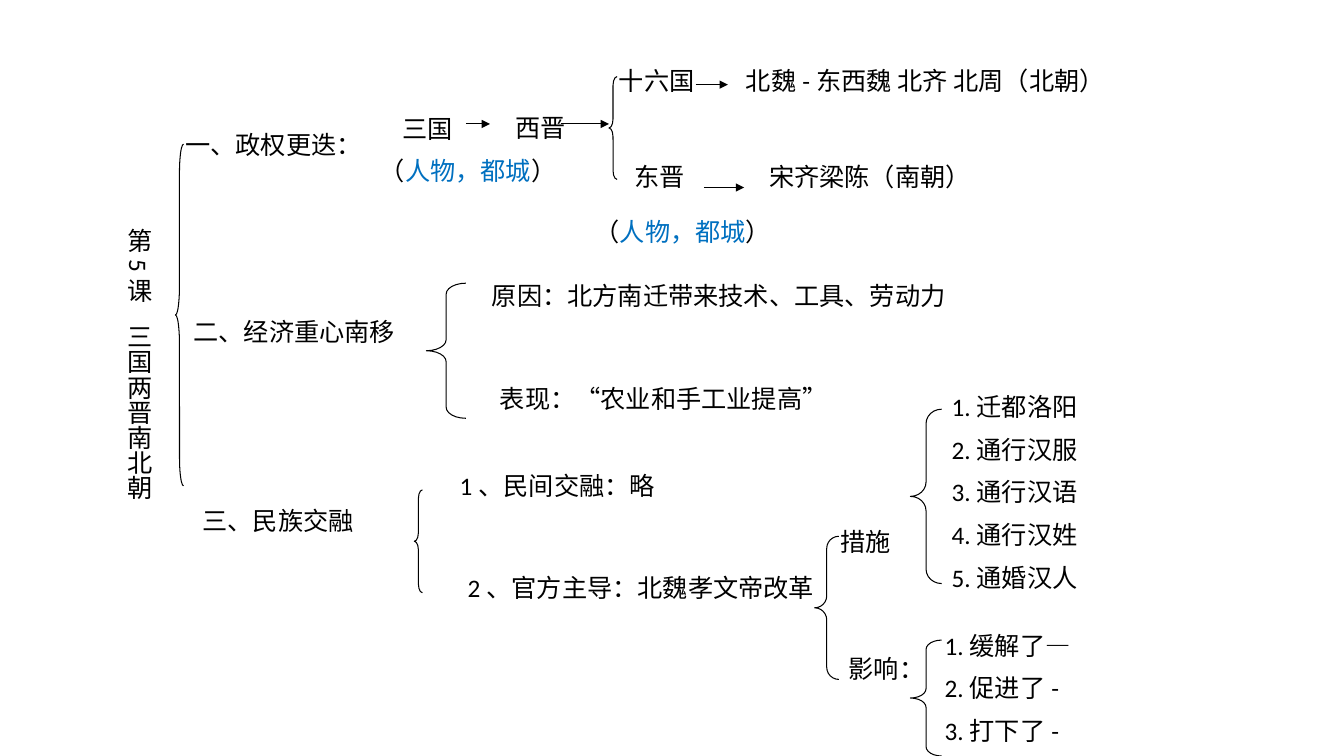
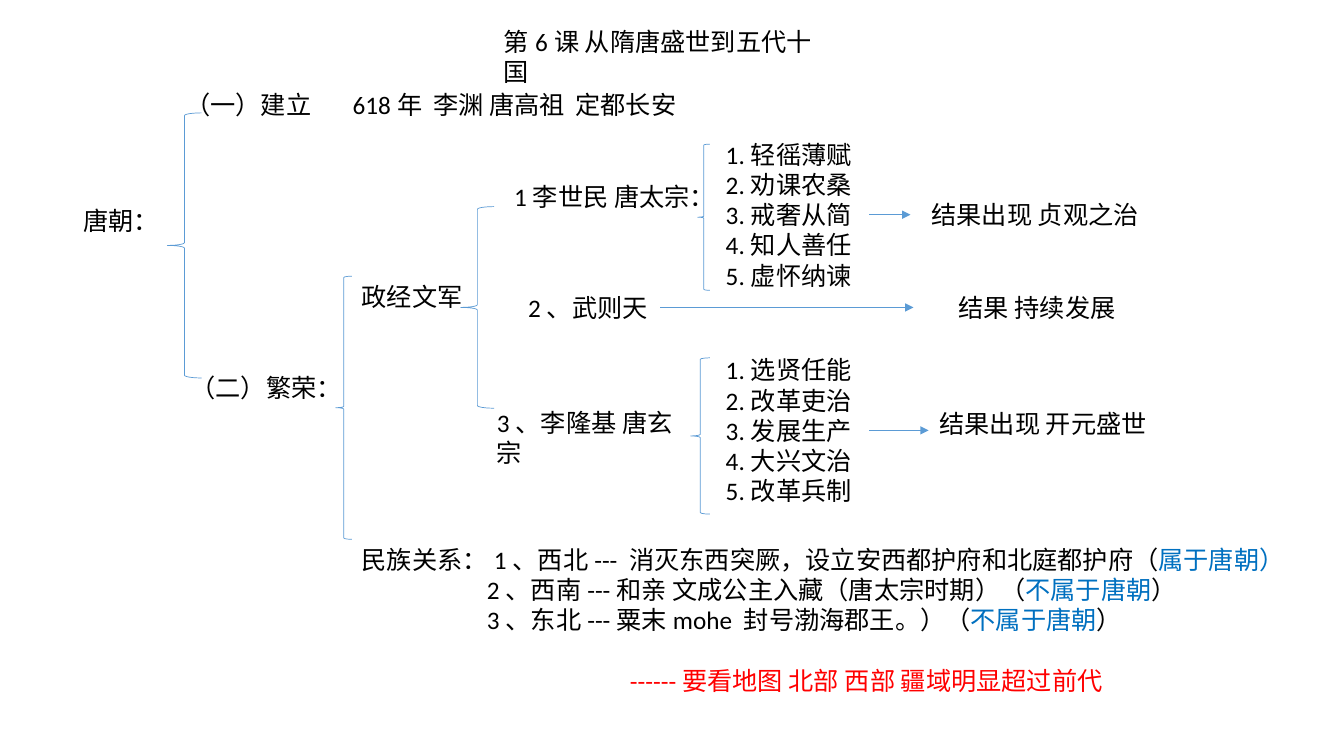
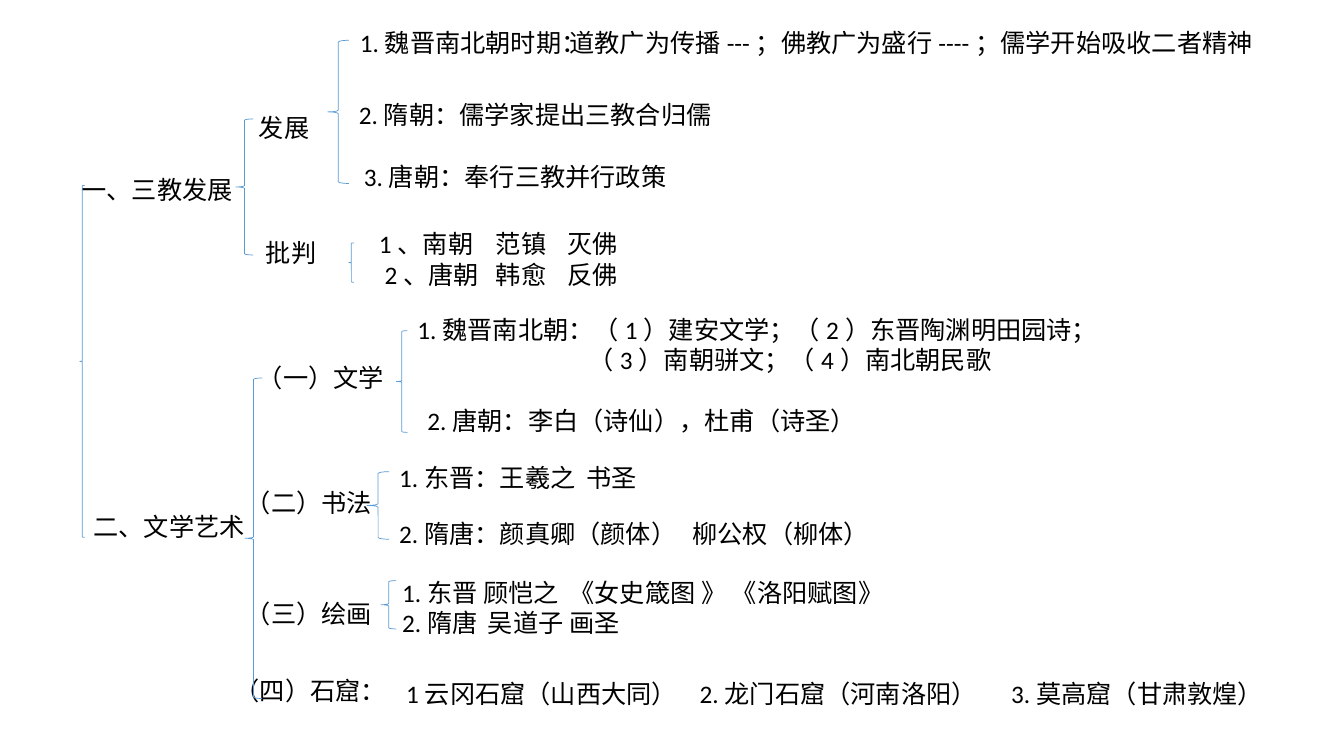
from lxml import etree
from pptx import Presentation
from pptx import util as u
from pptx.dml.color import RGBColor
from pptx.enum import shapes, text
from pptx.oxml import ns

# Shared style
FONT, SIZE = "Calibri", 18
INK, MARK, ALERT, SKY = "000000", "0070C0", "FF0000", "5B9BD5"
LINE = 0.4  # height of a box with one line
hue = RGBColor.from_string

deck = Presentation()
deck.slide_width, deck.slide_height = u.Inches(13.33), u.Inches(7.5)


def put(page, spot, words, stops=(), gap=0):
    """Write lines in a box; pieces between asterisks take the mark colour."""
    box = page.shapes.add_textbox(*[u.Inches(n) for n in spot])
    frame = box.text_frame
    frame.word_wrap = True
    frame.auto_size = text.MSO_AUTO_SIZE.SHAPE_TO_FIT_TEXT
    for i, row in enumerate(words.split("\n")):
        para = frame.paragraphs[0] if i == 0 else frame.add_paragraph()
        if gap:
            para.space_before = u.Pt(gap)
        if "\t" in row:
            tabs = etree.SubElement(para._p.get_or_add_pPr(), ns.qn("a:tabLst"))
            for stop in stops:
                etree.SubElement(tabs, ns.qn("a:tab"), pos=str(u.Inches(stop)), algn="l")
        for k, part in enumerate(row.split("*")):
            if part:
                run = para.add_run()
                run.text = part
                run.font.name, run.font.size = FONT, u.Pt(SIZE)
                run.font.color.rgb = hue(MARK if k % 2 else INK)
    return box


# Each page: line colour and width, paragraph gap, line step,
# texts (left, top, width, words, tab stops),
# braces (left, top, width, height, curl), arrows (left, right, height)
dynasties = dict(
    tint=INK, thick=0.75, gap=9, step=0.45,
    texts=[
        (1.74, 1.23, 2.09, "一、政权更迭："),
        (1.82, 3.09, 2.28, "二、经济重心南移"),
        (1.91, 4.96, 1.93, "三、民族交融"),
        (3.67, 1.07, 1.97, "\t三国\n（*人物，都城*）", 0.22),
        (5.01, 1.07, 1.81, "西晋"),
        (6.19, 1.55, 1.5, "东晋"),
        (6.04, 0.6, 1.5, "十六国"),
        (7.3, 0.6, 3.98, "北魏-东西魏 北齐 北周（北朝）"),
        (7.53, 1.55, 3.07, "宋齐梁陈（南朝）"),
        (4.78, 2.73, 5.67, "原因：北方南迁带来技术、工具、劳动力"),
        (4.86, 3.75, 5.51, "表现：“农业和手工业提高”"),
        (4.46, 4.62, 4.49, "1、民间交融：略"),
        (4.54, 5.63, 4.49, "2、官方主导：北魏孝文帝改革"),
        (8.24, 5.17, 0.95, "措施"),
        (8.32, 6.43, 1.1, "影响："),
        (9.34, 3.83, 1.5, "1.迁都洛阳\n2.通行汉服\n3.通行汉语\n4.通行汉姓\n5.通婚汉人"),
        (9.27, 6.2, 2.13, "1.缓解了—\n2.促进了-\n3.打下了-"),
        (5.8, 2.1, 2.05, "（*人物，都城*）"),
    ],
    braces=[
        (6.04, 0.76, 0.08, 1.02, 1.09), (1.74, 1.43, 0.08, 3.39, 3.53),
        (4.11, 4.86, 0.08, 1.02, 1.07), (4.23, 2.81, 0.39, 1.34, 0.28),
        (8.08, 5.32, 0.24, 1.42, 0.5), (9.03, 4.06, 0.31, 1.73, 0.46),
        (9.03, 6.35, 0.31, 1.15, 0.3),
    ],
    arrows=[(4.62, 4.86, 1.23), (5.56, 6.04, 1.23), (6.9, 7.22, 0.84), (6.98, 7.38, 1.86)],
)

tang = dict(
    tint=SKY, thick=0.5, gap=0, step=0.3,
    texts=[
        (4.9, 0.21, 3.42, "第6课 从隋唐盛世到五代十国"),
        (0.73, 1.99, 0.82, "唐朝："),
        (1.74, 0.84, 1.98, "（一）建立"),
        (1.79, 3.64, 1.59, "（二）繁荣："),
        (3.4, 0.84, 3.83, "618年\t李渊 唐高祖\t定都长安", 0.8, 2.21),
        (5, 1.75, 2, "1李世民 唐太宗："),
        (5.14, 2.85, 1.41, "2、武则天"),
        (4.83, 3.99, 2.16, "3、李隆基 唐玄宗"),
        (3.49, 2.74, 1.57, "政经文军"),
        (7.1, 1.33, 2.86, "1.轻徭薄赋\n2.劝课农桑\n3.戒奢从简\n4.知人善任\n5.虚怀纳谏"),
        (9.14, 1.93, 2.47, "结果出现 贞观之治"),
        (9.41, 2.85, 2.2, "结果 持续发展"),
        (7.1, 3.47, 1.84, "1.选贤任能\n2.改革吏治\n3.发展生产\n4.大兴文治\n5.改革兵制"),
        (9.22, 4, 2.47, "结果出现 开元盛世"),
    ],
    braces=[
        (1.66, 1.12, 0.34, 2.63), (3.33, 2.74, 0.16, 2.61), (4.57, 2.05, 0.33, 2),
        (6.92, 1.43, 0.12, 1.45), (6.85, 3.55, 0.19, 1.55),
    ],
    arrows=[(8.62, 9.03, 2.13), (6.55, 9.06, 3.05), (8.62, 9.21, 4.27)],
)

culture = dict(
    tint=SKY, thick=0.5, gap=0, step=0.3,
    texts=[
        (0.71, 1.68, 3.33, "一、三教发展"),
        (0.83, 5.02, 1.74, "二、文学艺术"),
        (3.47, 0.22, 2.65, "1.魏晋南北朝时期："),
        (3.46, 0.94, 3.85, "2.隋朝：儒学家提出三教合归儒"),
        (3.51, 1.55, 3.69, "3.唐朝：奉行三教并行政策"),
        (2.47, 1.07, 0.77, "发展"),
        (2.54, 2.31, 0.8, "批判"),
        (5.55, 0.22, 7.15, "道教广为传播---；佛教广为盛行----；儒学开始吸收二者精神"),
        (3.66, 2.22, 4.19, "1、南朝\t范镇\t灭佛\n 2、唐朝\t韩愈\t反佛", 1.16, 1.87),
        (2.46, 3.55, 1.49, "（一）文学"),
        (2.34, 4.79, 1.46, "（二）书法"),
        (2.34, 5.89, 1.53, "（三）绘画"),
        (4.04, 3.07, 8.28, "1.魏晋南北朝：（1）建安文学；（2）东晋陶渊明田园诗；\n"
                           "\t（3）南朝骈文；（4）南北朝民歌", 1.7),
        (4.14, 3.97, 5.29, "2.唐朝：李白（诗仙），杜甫（诗圣）"),
        (3.86, 4.54, 2.63, "1.东晋：王羲之\t书圣", 1.86),
        (3.86, 5.09, 5.17, "2.隋唐：颜真卿（颜体）\t柳公权（柳体）", 2.91),
        (3.89, 5.68, 5.54, "1.东晋 顾恺之\t《女史箴图 》 《洛阳赋图》\n"
                           "2.隋唐\t吴道子\t画圣", 0.85, 1.66),
        (2.23, 6.65, 1.59, "（四）石窟："),
        (3.93, 6.68, 8.77, "1云冈石窟（山西大同）\t2.龙门石窟（河南洛阳）\t3.莫高窟（甘肃敦煌）", 2.91, 6),
    ],
    braces=[
        (3.25, 0.4, 0.21, 1.42), (3.46, 2.41, 0.05, 0.39), (2.34, 1.18, 0.17, 1.35),
        (3.93, 3.28, 0.11, 1.01), (2.43, 3.75, 0.17, 3.18), (0.79, 1.84, 0.05, 3.49),
        (3.64, 4.68, 0.22, 0.67), (3.78, 5.76, 0.15, 0.48),
    ],
    arrows=[],
)

# Draw the three outlines
for plan in (dynasties, tang, culture):
    page = deck.slides.add_slide(deck.slide_layouts[6])
    for left, top, wide, words, *stops in plan["texts"]:
        high = LINE + plan["step"] * words.count("\n")
        put(page, (left, top, wide, high), words, stops, plan["gap"])
    for *spot, curl in [b if len(b) == 5 else (*b, 0.08) for b in plan["braces"]]:
        brace = page.shapes.add_shape(
            shapes.MSO_SHAPE.LEFT_BRACE, *[u.Inches(n) for n in spot])
        brace.shadow.inherit = False
        brace.fill.background()
        brace.line.color.rgb = hue(plan["tint"])
        brace.line.width = u.Pt(plan["thick"])
        brace.adjustments[0] = curl
    for start, end, y in plan["arrows"]:
        arrow = page.shapes.add_connector(
            shapes.MSO_CONNECTOR.STRAIGHT, *[u.Inches(n) for n in (start, y, end, y)])
        arrow.line.color.rgb = hue(plan["tint"])
        arrow.line.width = u.Pt(plan["thick"])
        etree.SubElement(arrow.line._get_or_add_ln(), ns.qn("a:tailEnd"), type="triangle")
        etree.SubElement(arrow.element.spPr, ns.qn("a:effectLst"))

# Upright lesson title on the first page
title = put(deck.slides[0], (1.08, 2.17, 0.5, 3.31), "第5课\t三国两晋南北朝", [0.95])
title.element.txBody.bodyPr.set("vert", "eaVert")

# Border relations on the second page, closed by a red reminder
border = put(
    deck.slides[1], (3.49, 5.35, 9.53, 1.62),
    "民族关系：1、西北--- 消灭东西突厥，设立安西都护府和北庭都护府（*属于唐朝）*\n"
    "2、西南---和亲 文成公主入藏（唐太宗时期）（*不属于唐朝*）\n"
    "3、东北---粟末mohe 封号渤海郡王。）（*不属于唐朝*）\n"
    "------要看地图 北部 西部 疆域明显超过前代")
rows = border.text_frame.paragraphs
for row, inset in zip(rows, (0, 1.24, 1.24, 2.66)):
    row._p.get_or_add_pPr().set("marL", str(u.Inches(inset)))
rows[-1].space_before = u.Pt(21.6)
rows[-1].runs[0].font.color.rgb = hue(ALERT)

deck.save("out.pptx")
